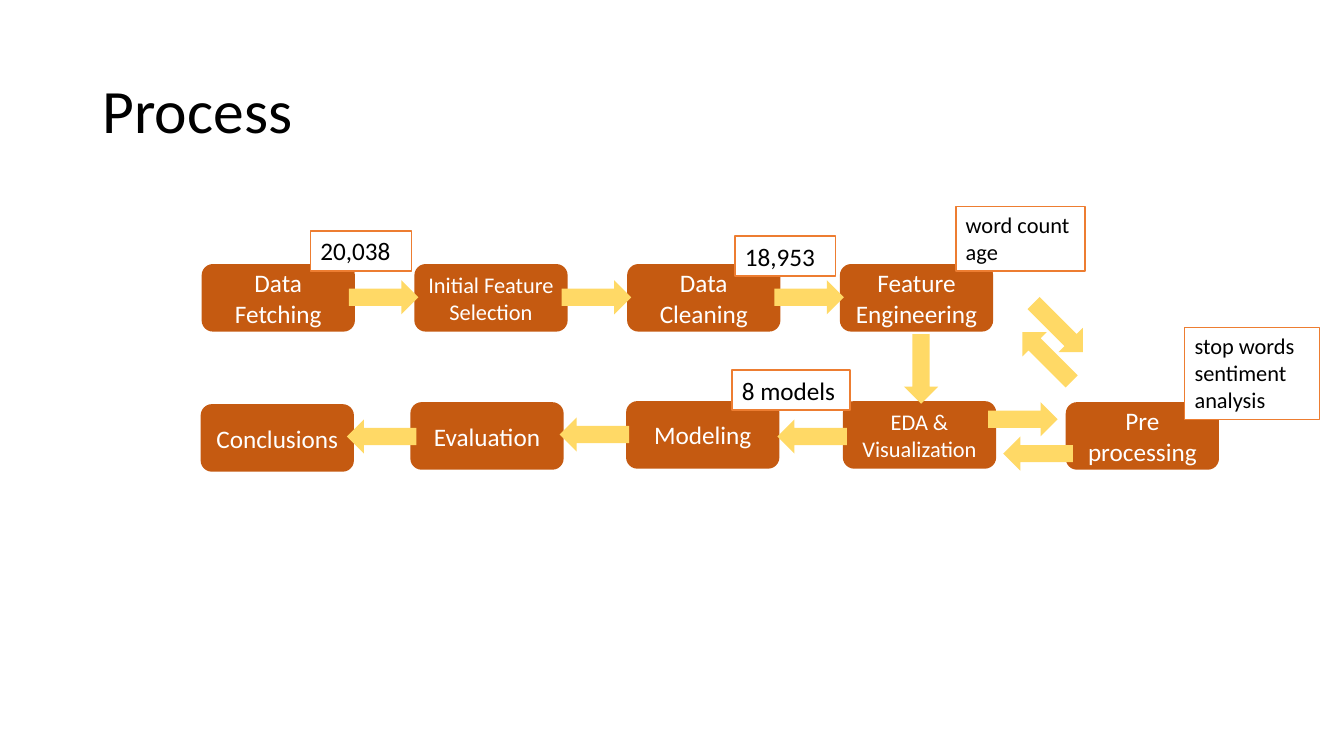
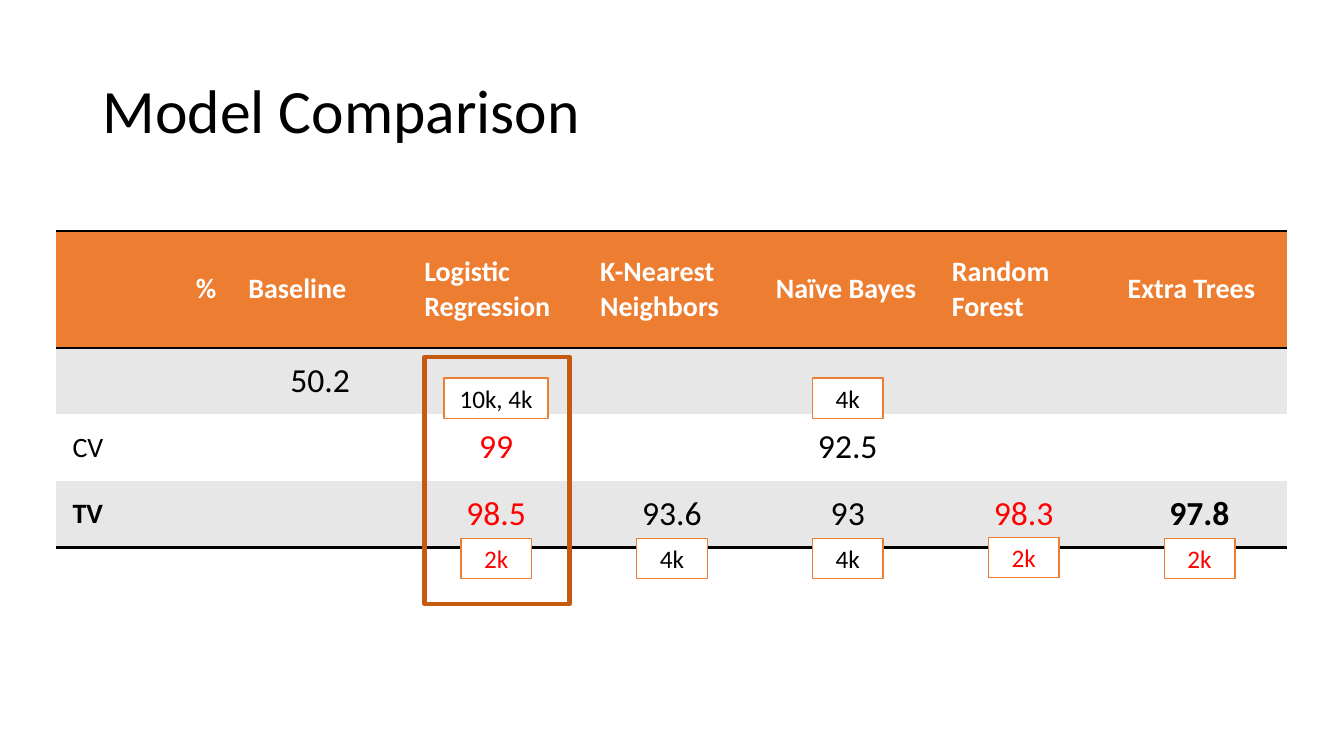
"""Build the process diagram and the model comparison slide."""
from dataclasses import dataclass

import lxml.etree
import pptx
import pptx.dml.color
import pptx.enum.shapes
import pptx.enum.text
import pptx.oxml.ns
import pptx.presentation
import pptx.shapes.autoshape
import pptx.slide
import pptx.table
import pptx.text.text
import pptx.util

Inches = pptx.util.Inches
ShapeType = pptx.enum.shapes.MSO_SHAPE
Align = pptx.enum.text.PP_ALIGN
Anchor = pptx.enum.text.MSO_ANCHOR

FONT = "Calibri"
BLACK = "000000"
WHITE = "FFFFFF"
RED = "FF0000"
ORANGE = "ED7D31"
DARK_ORANGE = "C55A11"
YELLOW = "FFD966"
BAND_GREY = "E7E7E7"

STEP_SIZE = (1.52, 0.67)
STEP_LEFT, STEP_TOP, STEP_PITCH = 2, 2.62, 2.11
ARROW_SIZE = (0.69, 0.34)
ARROW_LEFT, ARROW_TOP = 3.46, 2.78

TABLE_LEFT, TABLE_TOP, TABLE_WIDTH = 0.56, 2.29, 12.21
ROW_HEIGHTS = (1.16, 0.66, 0.66, 0.66)
NO_TABLE_STYLE = "{2D5ABB26-0587-4C30-8999-92F81FD0307C}"


@dataclass(frozen=True)
class Step:
    text: str
    left: float
    top: float
    size: int = 18


@dataclass(frozen=True)
class Arrow:
    left: float
    top: float
    rotation: int = 0


@dataclass(frozen=True)
class Callout:
    text: str
    left: float
    top: float
    width: float
    height: float = 0.4
    size: int = 18
    color: str = BLACK
    align: Align = Align.LEFT


@dataclass(frozen=True)
class Badge:
    text: str
    column: int
    top: float
    color: str = BLACK
    width: float = 0.7


@dataclass(frozen=True)
class CellText:
    text: str
    size: int = 24
    color: str = BLACK
    bold: bool = False
    align: Align = Align.CENTER


TOP_STEPS = (
    ("Data Fetching", 18),
    ("Initial Feature Selection", 16),
    ("Data Cleaning", 18),
    ("Feature Engineering", 18),
)
STEPS = [
    Step(text, STEP_LEFT + STEP_PITCH * index, STEP_TOP, size)
    for index, (text, size) in enumerate(TOP_STEPS)
] + [
    Step("EDA & Visualization", 8.36, 3.98, 16),
    Step("Pre\nprocessing", 10.57, 3.99),
    Step("Modeling", 6.21, 3.98),
    Step("Evaluation", 4.07, 3.99),
    Step("Conclusions", 1.99, 4.01),
]
ARROWS = [
    Arrow(ARROW_LEFT + STEP_PITCH * index, ARROW_TOP) for index in range(3)
] + [
    Arrow(9.8, 3.99),
    Arrow(8.79, 3.49, 90),
    Arrow(9.95, 4.33, 180),
    Arrow(10.04, 3.37, 225),
    Arrow(10.15, 3.08, 45),
    Arrow(7.71, 4.16, 180),
    Arrow(5.55, 4.14, 180),
    Arrow(3.44, 4.16, 180),
]
CALLOUTS = (
    Callout("20,038", 3.08, 2.29, 1),
    Callout("word count\nage", 9.48, 2.05, 1.28, 0.64, 16),
    Callout("stop words\nsentiment analysis", 11.75, 3.25, 1.34, 0.91, 16),
    Callout("8 models", 7.26, 3.67, 1.17),
    Callout("18,953", 7.29, 2.34, 1),
)

HEADERS = (
    "%", "Baseline", "Logistic Regression", "K-Nearest Neighbors",
    "Naïve Bayes", "Random Forest", "Extra Trees",
)
COLUMN_WIDTH = TABLE_WIDTH / len(HEADERS)
CELLS = {
    (0, column): CellText(
        text, 20, WHITE, True, Align.LEFT if column else Align.RIGHT
    )
    for column, text in enumerate(HEADERS)
} | {
    (1, 1): CellText("50.2"),
    (2, 0): CellText("CV", 20, align=Align.LEFT),
    (2, 2): CellText("99", color=RED),
    (2, 4): CellText("92.5"),
    (3, 0): CellText("TV", 20, bold=True, align=Align.LEFT),
    (3, 2): CellText("98.5", color=RED),
    (3, 3): CellText("93.6"),
    (3, 4): CellText("93"),
    (3, 5): CellText("98.3", color=RED),
    (3, 6): CellText("97.8", bold=True),
}
ROW_FILLS = (ORANGE, BAND_GREY, WHITE, BAND_GREY)
ROW_BORDERS = {0: ("lnT", "lnB"), 3: ("lnB",)}
BADGES = (
    Badge("10k, 4k", 2, 3.75, width=1.03),
    Badge("2k", 2, 5.34, RED),
    Badge("4k", 3, 5.34),
    Badge("4k", 4, 3.75),
    Badge("4k", 4, 5.34),
    Badge("2k", 5, 5.33, RED),
    Badge("2k", 6, 5.34, RED),
)


def rgb(color: str) -> pptx.dml.color.RGBColor:
    return pptx.dml.color.RGBColor.from_string(color)


def write_text(
    frame: pptx.text.text.TextFrame,
    text: str,
    *,
    size: int,
    color: str = BLACK,
    bold: bool = False,
    align: Align = Align.LEFT,
    anchor: Anchor = Anchor.MIDDLE,
    line_spacing: float = 1.0,
) -> None:
    frame.word_wrap = True
    frame.vertical_anchor = anchor
    for index, line in enumerate(text.split("\n")):
        paragraph = frame.add_paragraph() if index else frame.paragraphs[0]
        paragraph.alignment = align
        paragraph.line_spacing = line_spacing
        run = paragraph.add_run()
        run.text = line
        run.font.name = FONT
        run.font.size = pptx.util.Pt(size)
        run.font.bold = bold
        run.font.color.rgb = rgb(color)


def add_box(
    slide: pptx.slide.Slide,
    kind: ShapeType,
    left: float,
    top: float,
    width: float,
    height: float,
    *,
    fill: str | None = None,
    line: str | None = None,
    line_width: float = 1,
) -> pptx.shapes.autoshape.Shape:
    shape = slide.shapes.add_shape(
        kind, Inches(left), Inches(top), Inches(width), Inches(height)
    )
    shape.shadow.inherit = False
    if fill:
        shape.fill.solid()
        shape.fill.fore_color.rgb = rgb(fill)
    else:
        shape.fill.background()
    if line:
        shape.line.color.rgb = rgb(line)
        shape.line.width = pptx.util.Pt(line_width)
    else:
        shape.line.fill.background()
    return shape


def add_titled_slide(
    presentation: pptx.presentation.Presentation, title: str
) -> pptx.slide.Slide:
    slide = presentation.slides.add_slide(presentation.slide_layouts[6])
    box = slide.shapes.add_textbox(
        Inches(0.92), Inches(0.4), Inches(11.5), Inches(1.45)
    )
    write_text(box.text_frame, title, size=44, line_spacing=0.9)
    return slide


def add_callout(slide: pptx.slide.Slide, callout: Callout) -> None:
    shape = add_box(
        slide, ShapeType.RECTANGLE, callout.left, callout.top,
        callout.width, callout.height, fill=WHITE, line=ORANGE,
    )
    write_text(
        shape.text_frame, callout.text, size=callout.size,
        color=callout.color, align=callout.align, anchor=Anchor.TOP,
    )


def add_border(cell: pptx.table._Cell, side: str) -> None:
    qn = pptx.oxml.ns.qn
    properties = cell._tc.get_or_add_tcPr()
    border = lxml.etree.SubElement(
        properties, qn(f"a:{side}"), w=str(pptx.util.Pt(2))
    )
    fill = lxml.etree.SubElement(border, qn("a:solidFill"))
    lxml.etree.SubElement(fill, qn("a:srgbClr"), val=BLACK)


def add_model_table(slide: pptx.slide.Slide) -> None:
    table = slide.shapes.add_table(
        len(ROW_HEIGHTS), len(HEADERS), Inches(TABLE_LEFT), Inches(TABLE_TOP),
        Inches(TABLE_WIDTH), Inches(sum(ROW_HEIGHTS)),
    ).table
    table.first_row = table.horz_banding = False
    style = table._tbl.tblPr.find(pptx.oxml.ns.qn("a:tableStyleId"))
    style.text = NO_TABLE_STYLE
    for column in table.columns:
        column.width = Inches(COLUMN_WIDTH)
    for row, height in enumerate(ROW_HEIGHTS):
        table.rows[row].height = Inches(height)
        for column in range(len(HEADERS)):
            cell = table.cell(row, column)
            for side in ROW_BORDERS.get(row, ()):
                add_border(cell, side)
            cell.fill.solid()
            cell.fill.fore_color.rgb = rgb(ROW_FILLS[row])
            cell.margin_left = cell.margin_right = Inches(0.16)
            cell.margin_top = cell.margin_bottom = Inches(0.08)
            cell.vertical_anchor = Anchor.MIDDLE
            content = CELLS.get((row, column))
            if content:
                write_text(
                    cell.text_frame, content.text, size=content.size,
                    color=content.color, bold=content.bold, align=content.align,
                )


def build_process(presentation: pptx.presentation.Presentation) -> None:
    slide = add_titled_slide(presentation, "Process")
    for step in STEPS:
        shape = add_box(
            slide, ShapeType.ROUNDED_RECTANGLE, step.left, step.top,
            *STEP_SIZE, fill=DARK_ORANGE,
        )
        write_text(
            shape.text_frame, step.text, size=step.size, color=WHITE,
            align=Align.CENTER,
        )
    for arrow in ARROWS:
        shape = add_box(
            slide, ShapeType.RIGHT_ARROW, arrow.left, arrow.top,
            *ARROW_SIZE, fill=YELLOW,
        )
        shape.rotation = arrow.rotation
    for callout in CALLOUTS:
        add_callout(slide, callout)


def build_comparison(presentation: pptx.presentation.Presentation) -> None:
    slide = add_titled_slide(presentation, "Model Comparison")
    add_model_table(slide)
    for badge in BADGES:
        center = TABLE_LEFT + COLUMN_WIDTH * (badge.column + 0.5)
        add_callout(slide, Callout(
            badge.text, center - badge.width / 2, badge.top, badge.width,
            color=badge.color, align=Align.CENTER,
        ))
    add_box(
        slide, ShapeType.RECTANGLE, 4.21, 3.54, 1.44, 2.45,
        line=DARK_ORANGE, line_width=3,
    )


def main() -> None:
    presentation = pptx.Presentation()
    presentation.slide_width = Inches(13.33)
    presentation.slide_height = Inches(7.5)
    build_process(presentation)
    build_comparison(presentation)
    presentation.save("out.pptx")


if __name__ == "__main__":
    main()
